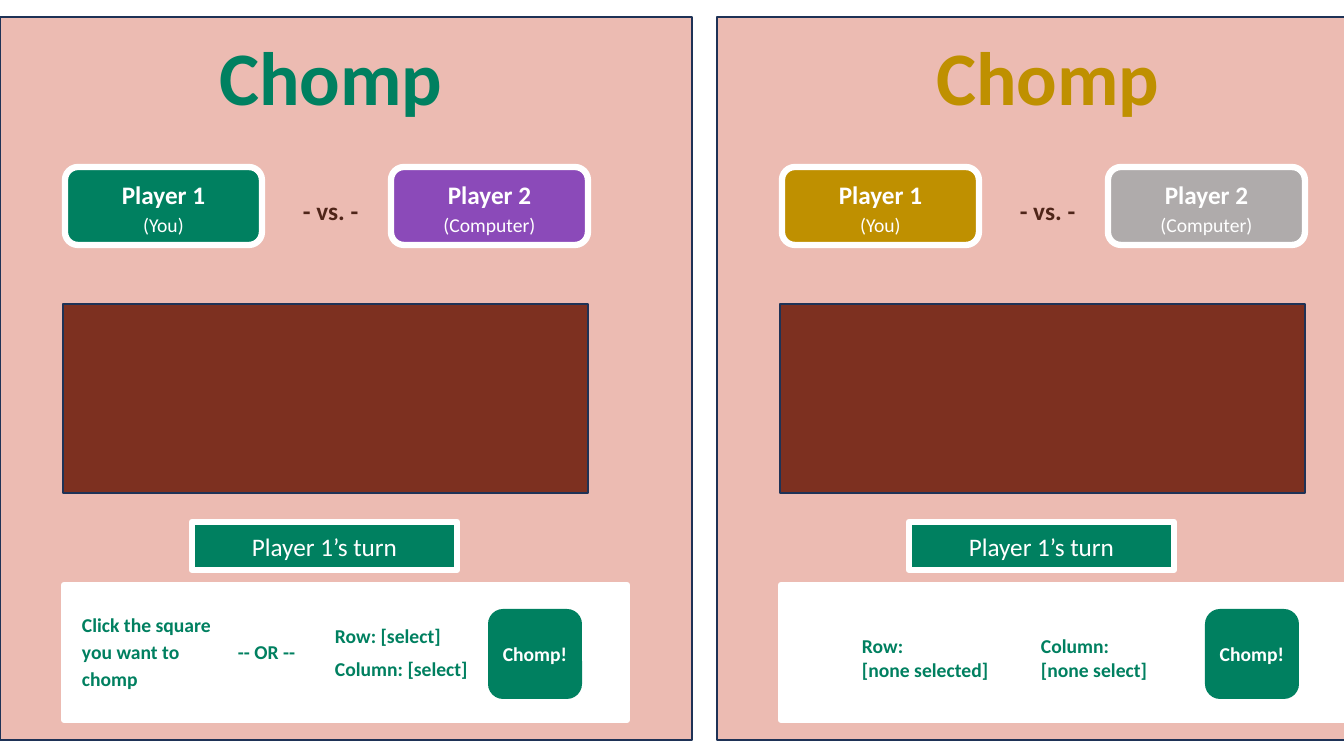
"""Build a slide with two colour variants of the Chomp game screen."""
from pptx import Presentation
from pptx.dml.color import RGBColor
from pptx.enum.shapes import MSO_SHAPE as Kind
from pptx.enum.text import MSO_ANCHOR as Anchor, PP_ALIGN as Align
from pptx.util import Pt

UNIT = 914400 / 100.8
HUES = {
    "pink": "ECBBB2", "navy": "1E3256", "brown": "7D3020", "dark": "4F2519",
    "white": "FFFFFF", "green": "008060", "violet": "8B4AB9",
    "gold": "BF9000", "grey": "AFABAB",
}


def hue(name):
    return RGBColor.from_string(HUES[name])


def scale(*sizes):
    return [round(size * UNIT) for size in sizes]


def write(shape, text, sizes, color, bolds=(True,), align=Align.LEFT,
          space=None, anchor=Anchor.TOP, wrap=True):
    frame = shape.text_frame
    frame.text = text
    frame.word_wrap = wrap
    frame.vertical_anchor = anchor
    for i, para in enumerate(frame.paragraphs):
        para.alignment = align
        if space:
            para.line_spacing = space
        for run in para.runs:
            font = run.font
            font.name = "Calibri"
            font.size = Pt(sizes[i % len(sizes)])
            font.bold = bolds[i % len(bolds)]
            font.color.rgb = hue(color)


def block(shapes, box, fill, line=None, width=1, kind=Kind.RECTANGLE):
    shape = shapes.add_shape(kind, *scale(*box))
    shape.shadow.inherit = False
    shape.fill.solid()
    shape.fill.fore_color.rgb = hue(fill)
    if line:
        shape.line.color.rgb = hue(line)
        shape.line.width = Pt(width)
    else:
        shape.line.fill.background()
    return shape


def label(shapes, box, text, size, color, **style):
    write(shapes.add_textbox(*scale(*box)), text, [size], color, **style)


def header(shapes, left, top, tints):
    label(shapes, (left + 208, top + 8, 246, 102), "Chomp", 54, tints[0],
          align=Align.CENTER, wrap=False)
    roles = ["Player 1\n(You)", "Player 2\n(Computer)"]
    for i, (role, tint) in enumerate(zip(roles, tints)):
        card = block(shapes, (left + 65 + 326 * i, top + 150, 197, 78), tint,
                     "white", 4.5, Kind.ROUNDED_RECTANGLE)
        write(card, role, (18, 14), "white", (True, False), Align.CENTER,
              1.14, Anchor.MIDDLE)
    label(shapes, (left + 293, top + 173, 77, 40), "- vs. -", 18, "dark",
          wrap=False)


def tray(shapes, left, top, hints):
    block(shapes, (left, top, 563, 135), "white", "white", 4.5)
    for x, y, wide, high, text, space in hints:
        label(shapes, (left + x, top + y, wide, high), text, 14, "green",
              space=space)
    button = block(shapes, (left + 424, top + 24, 94, 90), "green",
                   kind=Kind.ROUNDED_RECTANGLE)
    write(button, "Chomp!", [14], "white", align=Align.CENTER,
          anchor=Anchor.MIDDLE, wrap=False)


def screen(shapes, left, top, tints, hints):
    block(shapes, (left, top, 692, 723), "pink", "navy")
    header(shapes, left, top, tints)
    block(shapes, (left + 63, top + 287, 525, 189), "brown", "navy")
    turn = block(shapes, (left + 192, top + 505, 265, 48), "green",
                 "white", 4.5)
    write(turn, "Player 1’s turn", [18], "white", (False,), Align.CENTER,
          anchor=Anchor.MIDDLE)
    tray(shapes, left + 64, top + 568, hints)


PICK = [
    (8, 20, 153, 90, "Click the square you want to chomp", 1.14),
    (164, 50, 90, 34, "-- OR --", None),
    (261, 34, 126, 34, "Row: [select]", None),
    (261, 67, 153, 34, "Column: [select]", None),
]
NONE = [
    (71, 44, 153, 57, "Row: \n[none selected]", None),
    (250, 44, 153, 57, "Column: \n[none select]", None),
]

deck = Presentation()
deck.slide_width, deck.slide_height = scale(1344, 756)
slide = deck.slides.add_slide(deck.slide_layouts[6])
screen(slide.shapes, 0, 17, ("green", "violet"), PICK)
screen(slide.shapes, 717, 17, ("gold", "grey"), NONE)
deck.save("out.pptx")
